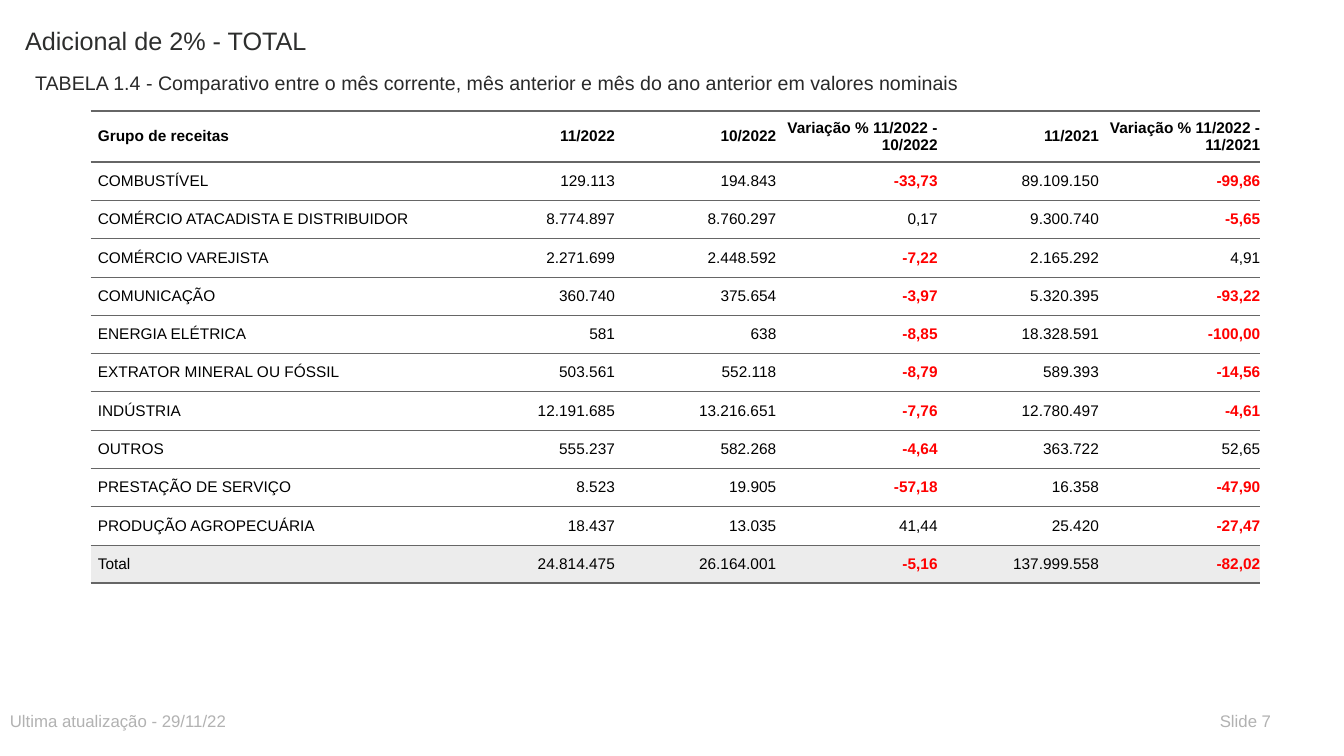
from lxml import etree
from pptx import Presentation
from pptx.dml.color import RGBColor
from pptx.enum.text import MSO_ANCHOR, PP_ALIGN
from pptx.oxml.ns import qn
from pptx.util import Pt

PX = 9144
LEFT, RIGHT = PP_ALIGN.LEFT, PP_ALIGN.RIGHT
TOP, MIDDLE = MSO_ANCHOR.TOP, MSO_ANCHOR.MIDDLE
NO_STYLE = "{2D5ABB26-0587-4C30-8999-92F81FD0307C}"
COLORS = {
    "title": "2D2E2D",
    "subtitle": "292929",
    "footer": "B2B2B2",
    "text": "000000",
    "negative": "FF0000",
    "rule": "666666",
    "row": "FFFFFF",
    "total": "ECECEC",
}
THICK, THIN = 2, 0.5
REVENUE = [
    ["Grupo de receitas", "11/2022", "10/2022", "Variação % 11/2022 - 10/2022",
     "11/2021", "Variação % 11/2022 - 11/2021"],
    ["COMBUSTÍVEL", "129.113", "194.843", "-33,73", "89.109.150", "-99,86"],
    ["COMÉRCIO ATACADISTA E DISTRIBUIDOR", "8.774.897", "8.760.297", "0,17",
     "9.300.740", "-5,65"],
    ["COMÉRCIO VAREJISTA", "2.271.699", "2.448.592", "-7,22", "2.165.292", "4,91"],
    ["COMUNICAÇÃO", "360.740", "375.654", "-3,97", "5.320.395", "-93,22"],
    ["ENERGIA ELÉTRICA", "581", "638", "-8,85", "18.328.591", "-100,00"],
    ["EXTRATOR MINERAL OU FÓSSIL", "503.561", "552.118", "-8,79", "589.393", "-14,56"],
    ["INDÚSTRIA", "12.191.685", "13.216.651", "-7,76", "12.780.497", "-4,61"],
    ["OUTROS", "555.237", "582.268", "-4,64", "363.722", "52,65"],
    ["PRESTAÇÃO DE SERVIÇO", "8.523", "19.905", "-57,18", "16.358", "-47,90"],
    ["PRODUÇÃO AGROPECUÁRIA", "18.437", "13.035", "41,44", "25.420", "-27,47"],
    ["Total", "24.814.475", "26.164.001", "-5,16", "137.999.558", "-82,02"],
]


class SlideBuilder:
    font = "Arial"

    def __init__(self, prs):
        self.slide = prs.slides.add_slide(prs.slide_layouts[6])

    def format_run(self, r, size, color, bold=False):
        r.font.name = self.font
        r.font.size = Pt(size)
        r.font.bold = bold
        r.font.color.rgb = RGBColor.from_string(COLORS[color])

    def text(self, text, x, y, w, h, size, color):
        sp = self.slide.shapes.add_textbox(x * PX, y * PX, w * PX, h * PX)
        tf = sp.text_frame
        tf.word_wrap = True
        tf.vertical_anchor = TOP
        tf.text = text
        self.format_run(tf.paragraphs[0].runs[0], size, color)

    def border(self, cell, side, width):
        tc_pr = cell._tc.get_or_add_tcPr()
        ln = etree.SubElement(tc_pr, qn(f"a:ln{side}"), w=str(Pt(width)))
        if width:
            fill = etree.SubElement(ln, qn("a:solidFill"))
            etree.SubElement(fill, qn("a:srgbClr"), val=COLORS["rule"])
        else:
            etree.SubElement(ln, qn("a:noFill"))

    def cell(self, cell, text, align, fill, top, bottom, bold):
        for side, width in zip("LRTB", (0, 0, top, bottom)):
            self.border(cell, side, width)
        cell.fill.solid()
        cell.fill.fore_color.rgb = RGBColor.from_string(COLORS[fill])
        cell.margin_left = cell.margin_right = 0
        cell.margin_top = cell.margin_bottom = 7 * PX
        cell.vertical_anchor = MIDDLE
        cell.text_frame.text = text
        p = cell.text_frame.paragraphs[0]
        p.alignment = align
        p.space_before = p.space_after = Pt(5)
        p._p.get_or_add_pPr().set("marL", str(7 * PX))
        negative = text.startswith("-")
        self.format_run(p.runs[0], 11, "negative" if negative else "text", bold or negative)

    def table(self, rows, x, y, widths, heights):
        frame = self.slide.shapes.add_table(
            len(rows), len(widths), x * PX, y * PX, sum(widths) * PX, sum(heights) * PX)
        table = frame.table
        table.first_row = table.horz_banding = False
        table._tbl.tblPr.find(qn("a:tableStyleId")).text = NO_STYLE
        for column, width in zip(table.columns, widths):
            column.width = width * PX
        last = len(rows) - 1
        for i, values in enumerate(rows):
            table.rows[i].height = heights[i] * PX
            top = THICK if i <= 1 else THIN
            bottom = THICK if i in (0, last) else THIN
            for j, value in enumerate(values):
                self.cell(table.cell(i, j), value, RIGHT if j else LEFT,
                          "total" if i == last else "row", top, bottom, i == 0)


def main():
    prs = Presentation()
    prs.slide_width, prs.slide_height = 1333 * PX, 750 * PX
    s = SlideBuilder(prs)
    s.text("Adicional de 2% - TOTAL", 15, 20, 800, 59, 18, "title")
    s.text("TABELA 1.4 - Comparativo entre o mês corrente, mês anterior e mês do ano "
           "anterior em valores nominais", 25, 65, 1000, 30, 14, "subtitle")
    s.table(REVENUE, 90, 110, [360] + [160] * 5, [25] + [38] * (len(REVENUE) - 1))
    s.text("Ultima atualização - 29/11/22", 0, 700, 650, 30, 12, "footer")
    s.text("Slide 7", 1200, 700, 90, 30, 12, "footer")
    prs.save("out.pptx")


if __name__ == "__main__":
    main()
